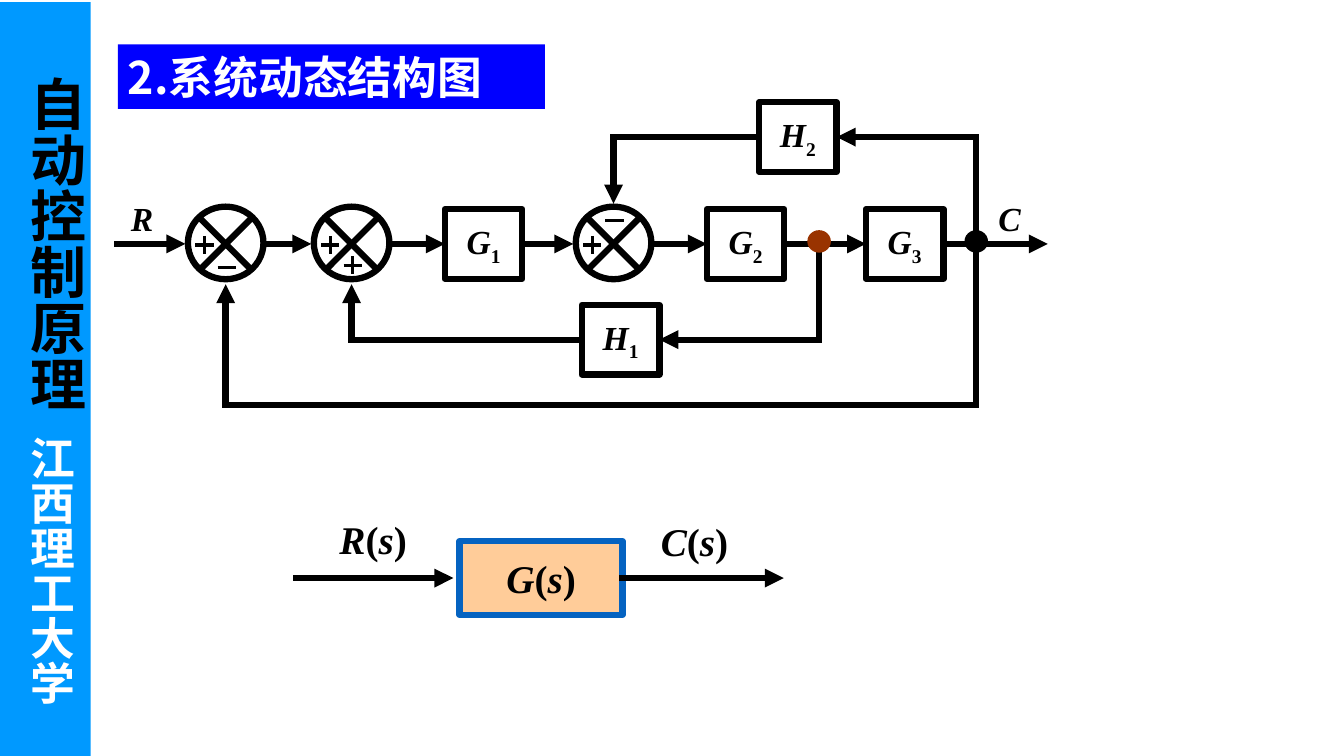
from dataclasses import dataclass

from lxml.etree import SubElement
from pptx import Presentation
from pptx.dml.color import RGBColor as Rgb
from pptx.enum.shapes import MSO_CONNECTOR as Wire, MSO_SHAPE as Shape
from pptx.enum.text import MSO_ANCHOR as Anchor, PP_ALIGN as Align
from pptx.oxml.ns import qn
from pptx.util import Inches, Pt


@dataclass(frozen=True)
class Theme:
    black: Rgb = Rgb(0, 0, 0)
    white: Rgb = Rgb(255, 255, 255)
    side: Rgb = Rgb(0x00, 0x99, 0xFF)
    banner: Rgb = Rgb(0x00, 0x00, 0xFF)
    tap: Rgb = Rgb(0x99, 0x33, 0x00)
    peach: Rgb = Rgb(0xFF, 0xCC, 0x99)
    edge: Rgb = Rgb(0x05, 0x63, 0xC1)
    course: int = 40
    head: int = 32
    term: int = 28
    block: int = 24
    thick: float = 4.5
    thin: float = 2.25
    serif: str = "Times New Roman"
    sans: str = "Noto Sans CJK SC"


theme = Theme()
deck = Presentation()
deck.slide_width, deck.slide_height = Inches(13.34), Inches(7.5)
slide = deck.slides.add_slide(deck.slide_layouts[6])
shapes = slide.shapes


def write(shape, parts, size, color=theme.black, face=theme.serif, align=Align.CENTER):
    """Fill a shape with (text, style) runs; style is "i", "sub" or ""."""
    frame = shape.text_frame
    frame.word_wrap = True
    frame.vertical_anchor = Anchor.MIDDLE
    frame.margin_top = frame.margin_bottom = 0
    line = frame.paragraphs[0]
    line.alignment = align
    for text, style in parts:
        run = line.add_run()
        run.text = text
        font = run.font
        font.name, font.size, font.bold = face, Pt(size), True
        font.italic = style == "i"
        font.color.rgb = color
        props = font._element
        SubElement(props, qn("a:ea")).set("typeface", theme.sans)
        if style == "sub":
            props.set("baseline", "-25000")


def link(start, end, arrow=False, width=theme.thick):
    """Draw a line; each end is an (x, y) point or a (shape, side) pair."""
    points = [(0, 0) if hasattr(p[0], "shape_id") else p for p in (start, end)]
    wire = shapes.add_connector(Wire.STRAIGHT, *[Inches(v) for p in points for v in p])
    if hasattr(start[0], "shape_id"):
        wire.begin_connect(*start)
    if hasattr(end[0], "shape_id"):
        wire.end_connect(*end)
    wire.line.color.rgb = theme.black
    wire.line.width = Pt(width)
    props = wire.line._get_or_add_ln()
    if width == theme.thick:
        props.set("cap", "sq")
    if arrow:
        SubElement(props, qn("a:tailEnd")).set("type", "triangle")
    SubElement(wire.element.spPr, qn("a:effectLst"))


# Side bar and banner
bars = []
for left, top, width, height, color in [
    (0, 0.02, 0.9, 7.48, theme.side),
    (1.17, 0.44, 4.24, 0.64, theme.banner),
]:
    bar = shapes.add_shape(
        Shape.RECTANGLE, Inches(left), Inches(top), Inches(width), Inches(height))
    bar.shadow.inherit = False
    bar.fill.solid()
    bar.fill.fore_color.rgb = color
    bar.line.fill.background()
    bars.append(bar)
write(bars[1], [("2.系统动态结构图", "")], theme.head, theme.white, theme.sans, Align.LEFT)

for text, mid, top, height, size, color in [
    ("自动控制原理", 0.56, 0.76, 3.5, theme.course, theme.black),
    ("江西理工大学", 0.51, 4.33, 2.9, theme.head, theme.white),
]:
    box = shapes.add_textbox(
        Inches(mid - 0.4), Inches(top), Inches(0.8), Inches(height))
    box.text_frame.margin_left = box.text_frame.margin_right = 0
    write(box, [(text, "")], size, color, theme.sans, Align.LEFT)
    box.element.txBody.bodyPr.set("vert", "eaVert")

# Transfer blocks, centred on the three signal rows
axis, inner, upper, outer = 2.42, 3.37, 1.36, 4.02
blocks = {}
for name, mid, row in [
    ("G1", 4.8, axis), ("G2", 7.4, axis), ("G3", 8.98, axis),
    ("H1", 6.16, inner), ("H2", 7.92, upper),
]:
    block = shapes.add_shape(
        Shape.RECTANGLE, Inches(mid - 0.385), Inches(row - 0.345),
        Inches(0.77), Inches(0.69))
    block.shadow.inherit = False
    block.fill.background()
    block.line.color.rgb = theme.black
    block.line.width = Pt(theme.thick)
    write(block, [(name[0], "i"), (name[1], "sub")], theme.block)
    blocks[name] = block
g1, g2, g3, h1, h2 = blocks.values()

# Summing points; each sign is (dx, dy, is plus)
sums = [2.24, 3.49, 6.09]
left_plus = (-0.21, 0.01, True)
signs = [(0.01, 0.23, False), (0.01, 0.21, True), (0.01, -0.23, False)]
for mid, sign in zip(sums, signs):
    ring = shapes.add_shape(
        Shape.OVAL, Inches(mid - 0.375), Inches(axis - 0.37), Inches(0.75), Inches(0.72))
    ring.shadow.inherit = False
    ring.fill.background()
    ring.line.color.rgb = theme.black
    ring.line.width = Pt(theme.thick)
    for tilt in (-0.23, 0.23):
        link((mid - 0.23, axis - tilt), (mid + 0.23, axis + tilt))
    for dx, dy, plus in (left_plus, sign):
        x, y = mid + dx, axis + dy
        link((x - 0.09, y), (x + 0.09, y), width=theme.thin)
        if plus:
            link((x, y - 0.09), (x, y + 0.09), width=theme.thin)

# Signal paths
first, second, third = sums
tap, out, rim = 8.13, 9.69, 0.4
for start, end, arrow in [
    ((1.16, axis), (first - rim, axis), True),
    ((first + rim, axis), (second - rim, axis), True),
    ((second + rim, axis), (g1, 1), True),
    ((g1, 3), (third - rim, axis), True),
    ((third + rim, axis), (g2, 1), True),
    ((g2, 3), (g3, 1), True),
    ((g3, 3), (10.4, axis), True),
    ((tap, axis), (tap, inner), False),
    ((tap, inner), (h1, 3), True),
    ((h1, 1), (second, inner), False),
    ((second, inner), (second, axis + rim), True),
    ((out, upper), (out, outer), False),
    ((out, upper), (h2, 3), True),
    ((h2, 1), (third, upper), False),
    ((third, upper), (third, axis - rim), True),
    ((out, outer), (first, outer), False),
    ((first, outer), (first, axis + rim), True),
]:
    link(start, end, arrow)

for mid, color in [(tap, theme.tap), (out, theme.black)]:
    dot = shapes.add_shape(
        Shape.OVAL, Inches(mid - 0.11), Inches(axis - 0.13), Inches(0.22), Inches(0.21))
    dot.shadow.inherit = False
    dot.fill.solid()
    dot.fill.fore_color.rgb = color
    dot.line.color.rgb = color
    dot.line.width = Pt(1)

# Overall transfer function
whole = shapes.add_shape(
    Shape.RECTANGLE, Inches(4.56), Inches(5.37), Inches(1.62), Inches(0.73))
whole.shadow.inherit = False
whole.fill.solid()
whole.fill.fore_color.rgb = theme.peach
whole.line.color.rgb = theme.edge
whole.line.width = Pt(theme.thick)
link((2.94, 5.735), (4.5, 5.735), True)
link((whole, 3), (7.78, 5.735), True)

of_s = [("(", ""), ("s", "i"), (")", "")]
write(whole, [("G", "i")] + of_s, theme.term)

# Signal labels
for name, rest, left, top, width, height, size in [
    ("R", [], 1.19, 1.96, 0.46, 0.4, theme.block),
    ("C", [], 9.8, 1.96, 0.46, 0.4, theme.block),
    ("R", of_s, 3.26, 5.1, 0.9, 0.5, theme.term),
    ("C", of_s, 6.45, 5.12, 0.9, 0.5, theme.term),
]:
    label = shapes.add_textbox(Inches(left), Inches(top), Inches(width), Inches(height))
    label.text_frame.margin_left = Inches(0.11)
    label.text_frame.margin_right = 0
    write(label, [(name, "i")] + rest, size, align=Align.LEFT)

deck.save("out.pptx")
